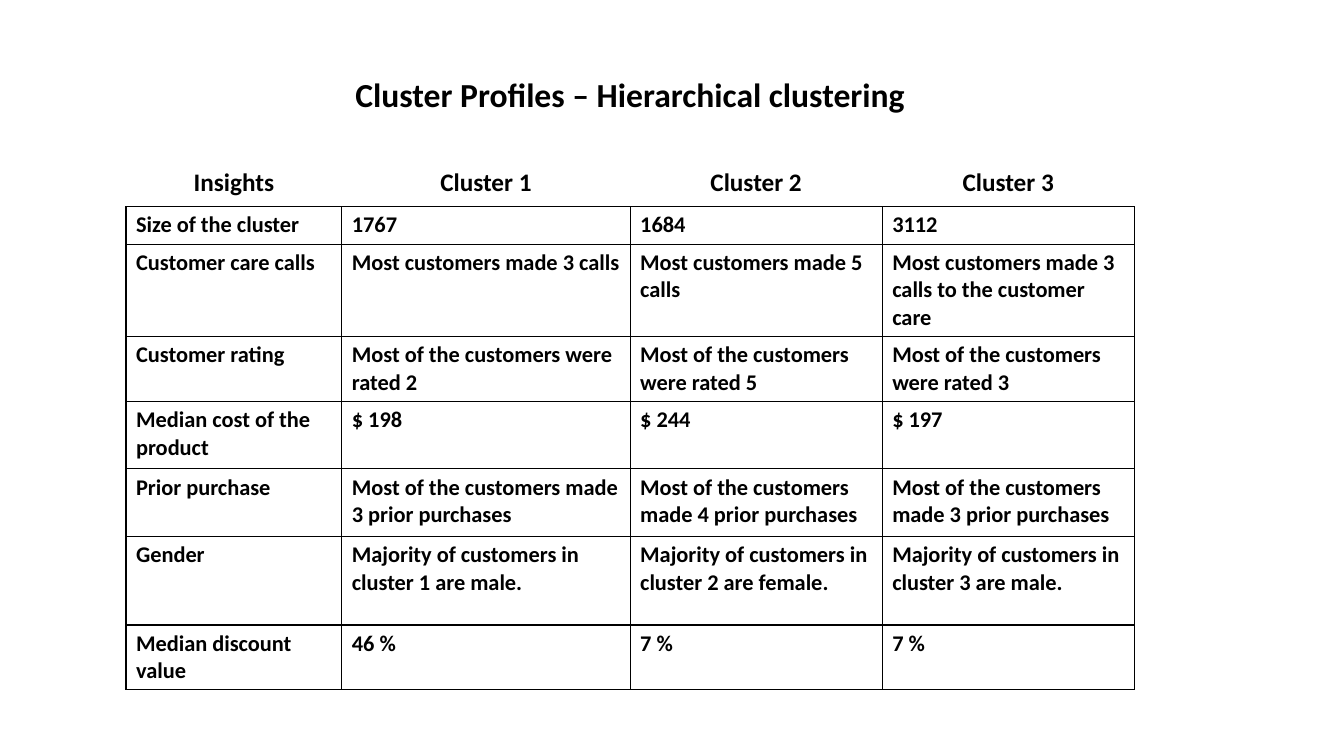
from dataclasses import dataclass

from lxml import etree
from pptx import Presentation
from pptx import util as u
from pptx.dml.color import RGBColor
from pptx.enum import text
from pptx.oxml.ns import qn

COLORS = {"ink": "000000", "paper": "FFFFFF"}
FONT = "Calibri"
WIDTHS = (2.14, 2.86, 2.5, 2.5)


@dataclass
class Look:
    size: int
    align: text.PP_ALIGN
    edges: dict[str, tuple[str, float]]  # side: colour name, points


@dataclass
class Row:
    height: float
    look: Look
    cells: tuple[str, ...]


# Row looks
INK, PAPER = ("ink", 1), ("paper", 1)
CENTER, LEFT = text.PP_ALIGN.CENTER, text.PP_ALIGN.LEFT
TITLE = Look(24, CENTER, dict.fromkeys("LRT", PAPER) | {"B": ("paper", 3)})
HEAD = Look(18, CENTER, dict.fromkeys("LRT", PAPER) | {"B": INK})
BODY = Look(16, LEFT, dict.fromkeys("LRTB", INK))

# Table content
ROWS = (
    Row(0.91, TITLE, ("Cluster Profiles – Hierarchical clustering", "", "", "")),
    Row(0.44, HEAD, ("Insights", "Cluster 1", "Cluster 2", "Cluster 3")),
    Row(0.36, BODY, ("Size of the cluster", "1767", "1684", "3112")),
    Row(0.9, BODY, ("Customer care calls", "Most customers made 3 calls",
                    "Most customers made 5 calls",
                    "Most customers made 3 calls to the customer care")),
    Row(0.63, BODY, ("Customer rating", "Most of the customers were rated 2",
                     "Most of the customers were rated 5",
                     "Most of the customers were rated 3")),
    Row(0.67, BODY, ("Median cost of the product", "$ 198", "$ 244", "$ 197")),
    Row(0.67, BODY, ("Prior purchase",
                     "Most of the customers made 3 prior purchases",
                     "Most of the customers made 4 prior purchases",
                     "Most of the customers made 3 prior purchases")),
    Row(0.88, BODY, ("Gender", "Majority of customers in cluster 1 are male.",
                     "Majority of customers in cluster 2 are female.",
                     "Majority of customers in cluster 3 are male.")),
    Row(0.63, BODY, ("Median discount value", "46 %", "7 %", "7 %")),
)


def set_edges(cell, look: Look) -> None:
    """Draw the four borders; they must precede the fill in the cell XML."""
    props = cell._tc.get_or_add_tcPr()
    for index, side in enumerate("LRTB"):
        color, points = look.edges[side]
        line = etree.Element(qn(f"a:ln{side}"), w=str(u.Pt(points)))
        fill = etree.SubElement(line, qn("a:solidFill"))
        etree.SubElement(fill, qn("a:srgbClr"), val=COLORS[color])
        props.insert(index, line)


def fill_cell(cell, words: str, look: Look) -> None:
    cell.fill.background()
    set_edges(cell, look)
    if not words:
        return
    cell.text_frame.text = words
    para = cell.text_frame.paragraphs[0]
    para.alignment = look.align
    font = para.runs[0].font
    font.name, font.size, font.bold = FONT, u.Pt(look.size), True
    font.color.rgb = RGBColor.from_string(COLORS["ink"])


def add_grid(slide) -> None:
    height = sum(row.height for row in ROWS)
    frame = slide.shapes.add_table(
        len(ROWS), len(WIDTHS), u.Inches(1.25), u.Inches(0.7),
        u.Inches(sum(WIDTHS)), u.Inches(height))
    table = frame.table
    table.first_row = table.horz_banding = False
    for column, width in zip(table.columns, WIDTHS):
        column.width = u.Inches(width)
    for r, row in enumerate(ROWS):
        table.rows[r].height = u.Inches(row.height)
        for c, words in enumerate(row.cells):
            fill_cell(table.cell(r, c), words, row.look)
    # Title spans the full width
    table.cell(0, 0).merge(table.cell(0, len(WIDTHS) - 1))


def main() -> None:
    deck = Presentation()
    deck.slide_width, deck.slide_height = u.Inches(13.33), u.Inches(7.5)
    slide = deck.slides.add_slide(deck.slide_layouts[6])
    add_grid(slide)
    deck.save("out.pptx")


if __name__ == "__main__":
    main()
